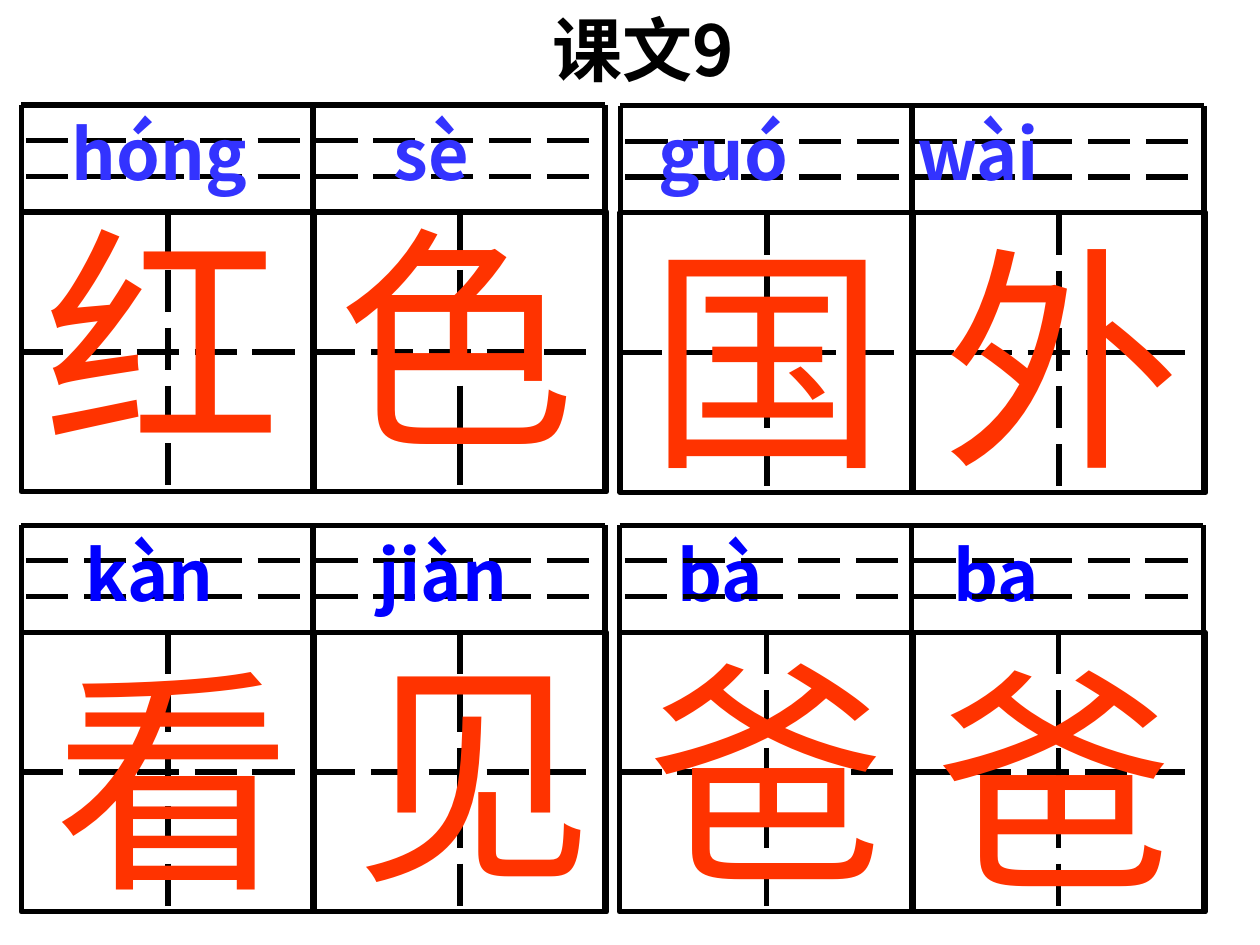
from lxml import etree
from pptx import Presentation
from pptx.dml.color import RGBColor
from pptx.enum.dml import MSO_LINE
from pptx.enum.shapes import MSO_CONNECTOR, MSO_SHAPE
from pptx.enum.text import MSO_AUTO_SIZE
from pptx.oxml.ns import qn
from pptx.util import Pt

BLACK = RGBColor(0x00, 0x00, 0x00)
RED = RGBColor(0xFF, 0x33, 0x00)
INDIGO = RGBColor(0x33, 0x33, 0xFF)
BLUE = RGBColor(0x00, 0x00, 0xFF)
STRAIGHT = MSO_CONNECTOR.STRAIGHT
RECTANGLE = MSO_SHAPE.RECTANGLE
LONG_DASH = MSO_LINE.LONG_DASH
GROW = MSO_AUTO_SIZE.SHAPE_TO_FIT_TEXT
CJK = "Noto Sans CJK SC"
LATIN = "Arial"

LINE_WIDTH = 3
COLUMN_STEP = 166.8
BOX_W, BOX_H = 167.8, 159.8
RULE_GAP = 20.4
HEADER_H = 3 * RULE_GAP
DASH_INSET = 3

GRIDS = [(12.1, 60), (354.4, 60.4), (12.1, 300.1), (354.1, 300.1)]
# character, left, top, font
CHARACTERS = [
    ("红", 18, 105.8, CJK), ("色", 185.8, 105.8, CJK),
    ("国", 363.6, 117.4, LATIN), ("外", 531.4, 117.4, LATIN),
    ("看", 23.8, 357.8, LATIN), ("见", 195.8, 354.2, LATIN),
    ("爸", 363.6, 354.2, LATIN), ("爸", 527.8, 357.8, LATIN),
]
# top, colour, syllables with their tab positions
PINYIN = [
    (59.8, INDIGO, [("hóng", 34), ("sè", 218), ("guó", 369), ("wài", 517)]),
    (300.2, BLUE, [("kàn", 42), ("jiàn", 209), ("bà", 380), ("ba", 538)]),
]


def add_line(shapes, x1, y1, x2, y2, dash=None):
    line = shapes.add_connector(STRAIGHT, Pt(x1), Pt(y1), Pt(x2), Pt(y2))
    line.line.color.rgb = BLACK
    line.line.width = Pt(LINE_WIDTH)
    if dash:
        line.line.dash_style = dash
    etree.SubElement(line._element.spPr, qn("a:effectLst"))


def add_box(shapes, x, y):
    """Add one character square with its dashed cross."""
    sp = shapes.add_shape(RECTANGLE, Pt(x), Pt(y), Pt(BOX_W), Pt(BOX_H))
    sp.shadow.inherit = False
    sp.fill.background()
    sp.line.color.rgb = BLACK
    sp.line.width = Pt(LINE_WIDTH)
    mid_x, mid_y = x + BOX_W / 2, y + BOX_H / 2
    add_line(shapes, mid_x, y, mid_x, y + BOX_H, LONG_DASH)
    add_line(shapes, x, mid_y, x + BOX_W - DASH_INSET, mid_y, LONG_DASH)


def add_grid(slide, x, y):
    """Add a pinyin strip above two character squares, as one group."""
    shapes = slide.shapes.add_group_shape().shapes
    right = x + 2 * COLUMN_STEP
    for column in range(2):
        add_box(shapes, x + column * COLUMN_STEP, y + HEADER_H)
    add_line(shapes, x, y, right, y)
    for rule in (1, 2):
        rule_y = y + rule * RULE_GAP
        add_line(shapes, x + DASH_INSET, rule_y, right, rule_y, LONG_DASH)
    for column in range(3):
        edge = x + column * COLUMN_STEP
        add_line(shapes, edge, y, edge, y + HEADER_H + BOX_H)


def add_text(slide, text, x, y, w, h, *, size, color, font=CJK, bold=False,
             tabs=()):
    tf = slide.shapes.add_textbox(Pt(x), Pt(y), Pt(w), Pt(h)).text_frame
    tf.word_wrap = True
    tf.auto_size = GROW
    p = tf.paragraphs[0]
    if tabs:
        tab_list = etree.SubElement(p._p.get_or_add_pPr(), qn("a:tabLst"))
        for tab in tabs:
            etree.SubElement(tab_list, qn("a:tab"), pos=str(Pt(tab)), algn="l")
    r = p.add_run()
    r.text = text
    r.font.size = Pt(size)
    r.font.bold = bold
    r.font.color.rgb = color
    r.font.name = font
    etree.SubElement(r._r.rPr, qn("a:ea"), typeface=CJK)


def add_pinyin(slide, y, color, syllables):
    text = "".join("\t" + syllable for syllable, _ in syllables)
    add_text(slide, text, 0, y, 717, 55.4, size=40, color=color, bold=True,
             tabs=[tab for _, tab in syllables])


def main():
    prs = Presentation()
    prs.slide_width, prs.slide_height = Pt(720), Pt(540)
    slide = prs.slides.add_slide(prs.slide_layouts[6])

    add_text(slide, "课文9", 308.9, 0, 181.4, 55.4, size=40, color=BLACK,
             bold=True)
    for x, y in GRIDS[:-1]:
        add_grid(slide, x, y)
    for y, color, syllables in PINYIN:
        add_pinyin(slide, y, color, syllables)
    add_grid(slide, *GRIDS[-1])  # its rules cross the pinyin below it
    for character, x, y, font in CHARACTERS:
        add_text(slide, character, x, y, 164.2, 170.6, size=136, color=RED,
                 font=font)

    prs.save("out.pptx")


if __name__ == "__main__":
    main()
